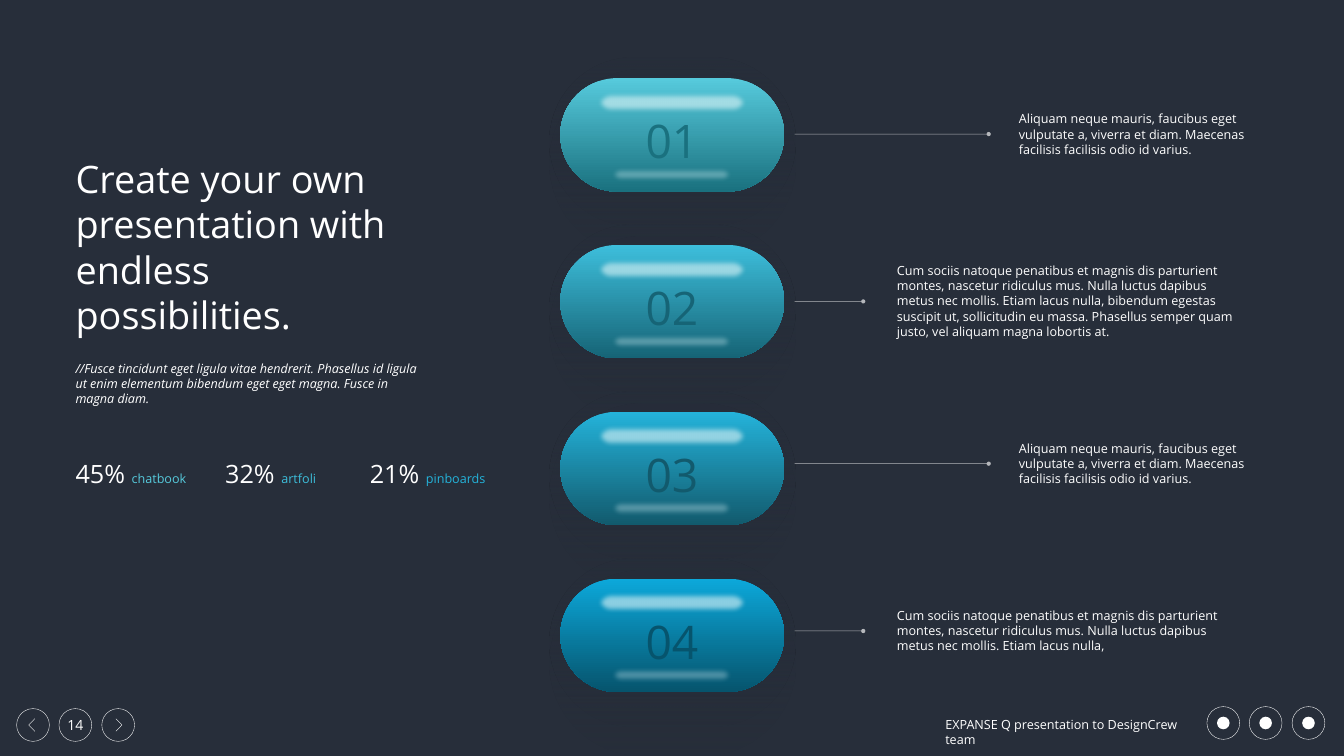
import pptx
import pptx.util
import pptx.dml.color
import pptx.enum.shapes
import pptx.enum.text
import pptx.oxml
import pptx.oxml.ns
from lxml import etree

Inches = pptx.util.Inches
Pt = pptx.util.Pt
qn = pptx.oxml.ns.qn
SHAPE = pptx.enum.shapes.MSO_SHAPE
ANCHOR = pptx.enum.text.MSO_ANCHOR
ALIGN = pptx.enum.text.PP_ALIGN
FIT = pptx.enum.text.MSO_AUTO_SIZE

FONT = "Open Sans"
COLORS = {"night": "272E3A", "white": "FFFFFF", "gloss": "DDF4F8"}
CAPSULES = [
    ("01", "56CADC", "1A717F"),
    ("02", "3DBEDB", "166476"),
    ("03", "24B3DA", "125A6D"),
    ("04", "0CA8DA", "06546D"),
]
CAPSULE_PITCH = 3.31
ALIQUAM = ("Aliquam neque mauris, faucibus eget vulputate a, viverra et diam. "
           "Maecenas facilisis facilisis odio id varius.")
CUM_SOCIIS = ("Cum sociis natoque penatibus et magnis dis parturient montes, nascetur "
              "ridiculus mus. Nulla luctus dapibus metus nec mollis. Etiam lacus nulla,")
CUM_SOCIIS_LONG = CUM_SOCIIS + (" bibendum egestas suscipit ut, sollicitudin eu massa. "
                                "Phasellus semper quam justo, vel aliquam magna lobortis at.")
CALLOUTS = [
    (2.66, 19.62, (20.12, 2.16, 4.88, 1.01), ALIQUAM),
    (5.98, 17.13, (17.7, 5.17, 6.93, 1.62), CUM_SOCIIS_LONG),
    (9.2, 19.62, (20.12, 8.7, 4.88, 1.01), ALIQUAM),
    (12.52, 17.13, (17.7, 12.01, 6.93, 1.01), CUM_SOCIIS),
]
SHARES = [(1.4, 2.61, "45% ", "chatbook"), (4.37, 2.51, "32% ", "artfoli"),
          (7.24, 2.61, "21% ", "pinboards")]


def rgb(color):
    return pptx.dml.color.RGBColor.from_string(color)


def box(at):
    return [Inches(length) for length in at]


def set_alpha(shape, percent):
    color = next(shape.element.iter(qn("a:srgbClr")))
    etree.SubElement(color, qn("a:alpha"), val=str(percent * 1000))


def write(shape, runs, align=ALIGN.LEFT, anchor=ANCHOR.TOP, wrap=True, fit=FIT.SHAPE_TO_FIT_TEXT):
    frame = shape.text_frame
    frame.word_wrap = wrap
    frame.auto_size = fit
    frame.vertical_anchor = anchor
    paragraph = frame.paragraphs[0]
    paragraph.alignment = align
    for words, size, color in runs:
        run = paragraph.add_run()
        run.text = words
        run.font.name = FONT
        run.font.size = Pt(size)
        run.font.color.rgb = rgb(color)
    return paragraph


def add_text(shapes, at, runs, **layout):
    return write(shapes.add_textbox(*box(at)), runs, **layout)


def add_pill(shapes, at):
    pill = shapes.add_shape(SHAPE.ROUNDED_RECTANGLE, *box(at))
    pill.adjustments[0] = 0.5
    pill.shadow.inherit = False
    pill.line.fill.background()
    return pill


def add_gradient_pill(shapes, at, stops):
    pill = add_pill(shapes, at)
    pill.fill.gradient()
    pill.fill.gradient_angle = 270
    stop_list = next(pill.element.iter(qn("a:gsLst")))
    for stop in list(stop_list):
        stop_list.remove(stop)
    for position, color, opacity in stops:
        stop = etree.SubElement(stop_list, qn("a:gs"), pos=str(position * 1000))
        tint = etree.SubElement(stop, qn("a:srgbClr"), val=color)
        etree.SubElement(tint, qn("a:alpha"), val=str(opacity * 1000))


def add_gloss(shapes, at, opacity):
    gloss = add_pill(shapes, at)
    gloss.fill.solid()
    gloss.fill.fore_color.rgb = rgb(COLORS["gloss"])
    set_alpha(gloss, opacity)
    effects = next(gloss.element.iter(qn("a:effectLst")))
    etree.SubElement(effects, qn("a:softEdge"), rad=str(Pt(7)))


def add_capsule(slide, top, number, light, dark):
    shapes = slide.shapes.add_group_shape().shapes
    night = COLORS["night"]
    for offset, height, middle in ((-0.16, 3.68, 27), (-0.4, 3.33, 55)):
        add_gradient_pill(shapes, (10.9, top + offset, 4.88, height),
                          [(0, night, 17), (42, night, middle), (100, night, 0)])
    add_gradient_pill(shapes, (11.12, top, 4.44, 2.25), [(0, light, 100), (100, dark, 100)])
    add_gloss(shapes, (12.08, top + 1.75, 2.5, 0.33), 35)
    add_text(shapes, (12.69, top + 0.63, 1.29, 1.21), [(number, 66, dark)],
             align=ALIGN.CENTER, anchor=ANCHOR.MIDDLE, wrap=False)
    add_gloss(shapes, (11.82, top + 0.26, 3.03, 0.44), 61)


def add_leader(slide, y, dot_x):
    leader = slide.shapes.add_connector(pptx.enum.shapes.MSO_CONNECTOR.STRAIGHT,
                                        *box((dot_x, y, 15.77, y)))
    leader.line.width = Pt(0.75)
    leader.line.color.rgb = rgb(COLORS["white"])
    set_alpha(leader, 65)
    outline = next(leader.element.iter(qn("a:ln")))
    etree.SubElement(outline, qn("a:headEnd"), type="oval")
    etree.SubElement(outline.getparent(), qn("a:effectLst"))


def outline_white(shape):
    shape.shadow.inherit = False
    shape.fill.background()
    shape.line.color.rgb = rgb(COLORS["white"])
    shape.line.width = Pt(0.5)


def add_ring(shapes, left, top):
    outline_white(shapes.add_shape(SHAPE.OVAL, *box((left, top, 0.65, 0.65))))


def add_chevron(slide, base_x, tip_x):
    builder = slide.shapes.build_freeform(Inches(base_x), Inches(14.51), scale=1.0)
    builder.add_line_segments([(Inches(tip_x), Inches(14.385)), (Inches(base_x), Inches(14.26))],
                              close=False)
    outline_white(builder.convert_to_shape())


def add_social_marker(shapes, left):
    add_ring(shapes, left, 14.02)
    dot = shapes.add_shape(SHAPE.OVAL, *box((left + 0.2, 14.22, 0.25, 0.25)))
    dot.shadow.inherit = False
    dot.fill.solid()
    dot.fill.fore_color.rgb = rgb(COLORS["white"])
    dot.line.fill.background()


def add_footer(slide):
    white = COLORS["white"]
    add_text(slide.shapes, (1.36, 14.06, 0.27, 0.64), [("14", 20, white)],
             align=ALIGN.CENTER, anchor=ANCHOR.MIDDLE, wrap=False, fit=FIT.NONE)
    for left in (0.33, 1.17, 2.02):
        add_ring(slide.shapes, left, 14.06)
    add_chevron(slide, 0.69, 0.57)
    add_chevron(slide, 2.3, 2.42)
    add_text(slide.shapes, (18.66, 14.17, 5.15, 0.4),
             [("EXPANSE Q presentation to DesignCrew team", 18, white)], fit=FIT.NONE)
    social = slide.shapes.add_group_shape().shapes
    for left in (23.95, 24.79, 25.64):
        add_social_marker(social, left)


def add_headline(slide):
    title = slide.shapes.title
    title.left, title.top, title.width, title.height = box((1.4, 3.04, 6.8, 3.74))
    paragraph = write(title, [("Create your own presentation with endless possibilities.",
                               54, COLORS["white"])])
    paragraph.space_before = Pt(0)
    motto = add_text(slide.shapes, (1.4, 7.11, 7.15, 1.01),
                     [("//Fusce tincidunt eget ligula vitae hendrerit. Phasellus id ligula ut "
                       "enim elementum bibendum eget eget magna. Fusce in magna diam.",
                       18, COLORS["white"])])
    motto.runs[0].font.italic = True


def main():
    deck = pptx.Presentation()
    deck.slide_width, deck.slide_height = Inches(26.67), Inches(15)
    slide = deck.slides.add_slide(deck.slide_layouts[5])
    slide.background.fill.solid()
    slide.background.fill.fore_color.rgb = rgb(COLORS["night"])

    add_footer(slide)
    for row, (number, light, dark) in enumerate(CAPSULES):
        add_capsule(slide, 1.55 + row * CAPSULE_PITCH, number, light, dark)
    for y, dot_x, at, words in CALLOUTS:
        add_leader(slide, y, dot_x)
        add_text(slide.shapes, at, [(words, 18, COLORS["white"])])
    add_headline(slide)
    for (left, width, share, network), (_, accent, _) in zip(SHARES, CAPSULES):
        add_text(slide.shapes, (left, 9.05, width, 0.71),
                 [(share, 36, COLORS["white"]), (network, 18, accent)], wrap=False)
    deck.save("out.pptx")


if __name__ == "__main__":
    main()
